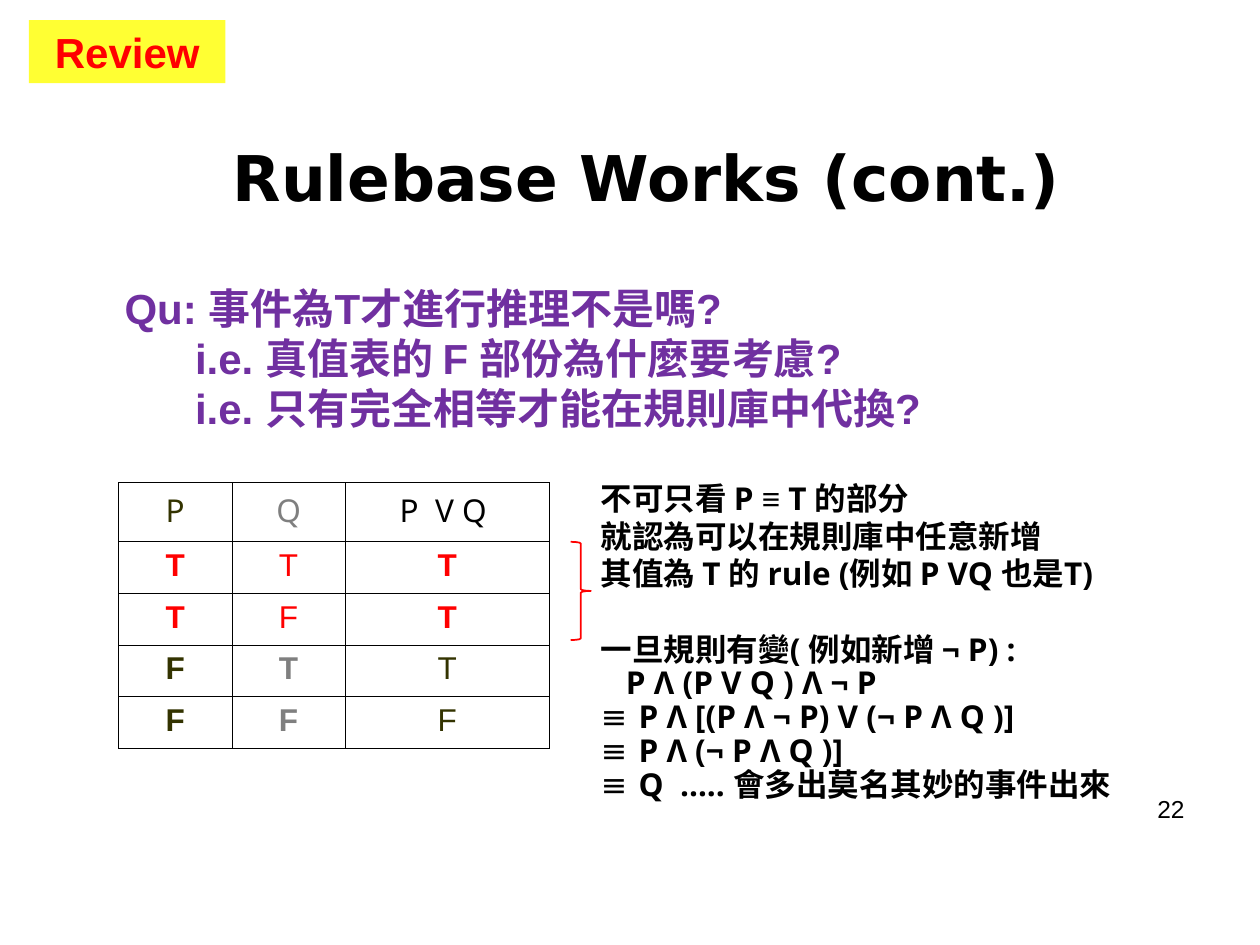
from pptx import Presentation
from pptx import util as u
from pptx.dml.color import RGBColor
from pptx.enum import shapes, text
from pptx.oxml import parse_xml
from pptx.oxml.ns import nsdecls

COLORS = {"black": "000000", "red": "FF0000", "yellow": "FFFF33",
          "purple": "7030A0", "olive": "333300", "gray": "7F7F7F"}
COLS, ROWS = 100, 75
HEADER = [("P", "olive"), ("Q", "gray"), ("P  V Q ", "black")]
TRUTH = [[("T", "red", True), ("T", "red", False), ("T", "red", True)],
         [("T", "red", True), ("F", "red", False), ("T", "red", True)],
         [("F", "olive", True), ("T", "gray", True), ("T", "olive", False)],
         [("F", "olive", True), ("F", "gray", True), ("F", "olive", False)]]
QUESTION = ["Qu: 事件為T才進行推理不是嗎?",
            "i.e. 真值表的 F 部份為什麼要考慮?",
            "i.e. 只有完全相等才能在規則庫中代換?"]
REASONS = ["就認為可以在規則庫中任意新增",
           "其值為 T 的 rule (例如 P VQ 也是T)",
           "一旦規則有變( 例如新增 ¬ P) :",
           "P Λ (P V Q ) Λ ¬ P"]
STEPS = ["P Λ [(P Λ ¬ P) V (¬ P Λ Q )]",
         "P Λ (¬ P Λ Q )]",
         "Q  ….. 會多出莫名其妙的事件出來"]


def grid(*cells):
    """Turn grid columns and rows of a tenth of an inch into lengths."""
    return [u.Inches(c / 10) for c in cells]


def rgb(name):
    """Return the named colour."""
    return RGBColor.from_string(COLORS[name])


def style(p, size, color, font="Arial", bold=False, align=None):
    """Format a paragraph and all its runs."""
    p.alignment = align
    for r in p.runs:
        r.font.size, r.font.name, r.font.bold = u.Pt(size), font, bold
        r.font.color.rgb = rgb(color)


def indent(p, left, first=0, bullet=None):
    """Set the left indent, first-line offset and bullet of a paragraph."""
    pPr = p._p.get_or_add_pPr()
    pPr.set("marL", str(u.Inches(left)))
    pPr.set("indent", str(u.Inches(first)))
    if bullet:
        pPr.append(parse_xml(f'<a:buFont {nsdecls("a")} typeface="Noto Sans"/>'))
        pPr.append(parse_xml(f'<a:buChar {nsdecls("a")} char="{bullet}"/>'))


def add_text(slide, box, lines, anchor=text.MSO_ANCHOR.TOP, right=0):
    """Add a wrapping text box and return its paragraphs."""
    tf = slide.shapes.add_textbox(*grid(*box)).text_frame
    tf.word_wrap, tf.vertical_anchor = True, anchor
    tf.margin_right = u.Inches(right)
    tf.text = "\n".join(lines)
    return tf.paragraphs


def add_shape(slide, kind, box):
    """Add a preset shape without shadow."""
    sp = slide.shapes.add_shape(kind, *grid(*box))
    sp.shadow.inherit = False
    return sp


def add_badge(slide, label):
    """Add the filled label in the corner."""
    sp = add_shape(slide, shapes.MSO_SHAPE.RECTANGLE, (2.3, 1.6, 15.6, 5))
    sp.fill.solid()
    sp.fill.fore_color.rgb = rgb("yellow")
    sp.line.fill.background()
    sp.text_frame.text = label
    style(sp.text_frame.paragraphs[0], 24, "red", bold=True, align=text.PP_ALIGN.CENTER)


def add_brace(slide):
    """Add the brace beside the true rows."""
    sp = add_shape(slide, shapes.MSO_SHAPE.RIGHT_BRACE, (45.3, 43, 1.6, 7.8))
    sp.fill.background()
    sp.line.color.rgb, sp.line.width = rgb("red"), u.Pt(1)


def set_borders(cell):
    """Draw thin lines on all sides of a cell."""
    tcPr = cell._tc.get_or_add_tcPr()
    for side in "LRTB":
        tcPr.append(parse_xml(
            f'<a:ln{side} {nsdecls("a")} w="{u.Pt(0.45)}"><a:solidFill>'
            f'<a:srgbClr val="{COLORS["black"]}"/></a:solidFill></a:ln{side}>'))


def add_truth_table(slide):
    """Add the truth table of P V Q."""
    rows = [[(*c, False) for c in HEADER], *TRUTH]
    table = slide.shapes.add_table(len(rows), len(HEADER), *grid(9.4, 38.3, 34.2, 20.9)).table
    table.first_row = table.horz_banding = False
    for col, width in zip(table.columns, grid(9, 9, 16.2)):
        col.width = width
    for i, row in enumerate(rows):
        table.rows[i].height = grid(4.1 if i else 4.7)[0]
        for j, (label, color, bold) in enumerate(row):
            cell = table.cell(i, j)
            set_borders(cell)
            cell.fill.background()
            cell.text = label
            style(cell.text_frame.paragraphs[0], 18, color,
                  "Arial" if i else "Noto Sans", bold, text.PP_ALIGN.CENTER)


def add_question(slide):
    """Add the question with its indented follow-ups."""
    paragraphs = add_text(slide, (8.9, 21.9, 66.9, 13), QUESTION)
    for i, p in enumerate(paragraphs):
        style(p, 24, "purple", bold=True)
        indent(p, 0.56 if i else 0)


def add_reasons(slide):
    """Add the explanation and its derivation."""
    paragraphs = add_text(slide, (46.7, 37.5, 46, 26.8), ["", *REASONS, *STEPS])
    for part in ("不可只看 ", "P ", "≡", " T 的部分"):
        paragraphs[0].add_run().text = part
    for p in paragraphs:
        style(p, 18, "black", "Noto Sans", True)
    for i in (0, 2):
        paragraphs[0].runs[i].font.name = "Arial"
    paragraphs[3].space_before = u.Pt(21.5)
    formula, *steps = paragraphs[len(REASONS):]
    for p in (formula, *steps):
        p.line_spacing = 0.9
    indent(formula, 0.2)
    for p in steps:
        indent(p, 0.3, -0.3, "≡")


def main():
    """Build the slide and save it."""
    prs = Presentation()
    prs.slide_width, prs.slide_height = grid(COLS, ROWS)
    slide = prs.slides.add_slide(prs.slide_layouts[6])
    number = add_text(slide, (88.3, 61.7, 6.7, 5), ["22"], text.MSO_ANCHOR.MIDDLE, 0.1)
    style(number[0], 14, "black", align=text.PP_ALIGN.RIGHT)
    title = add_text(slide, (6.7, 10, 89.2, 7.5), ["Rulebase Works (cont.)"],
                     text.MSO_ANCHOR.BOTTOM, 0.1)
    style(title[0], 36, "black", "DejaVu Sans", True, text.PP_ALIGN.CENTER)
    add_truth_table(slide)
    add_brace(slide)
    add_reasons(slide)
    add_question(slide)
    add_badge(slide, "Review")
    prs.save("out.pptx")


if __name__ == "__main__":
    main()
